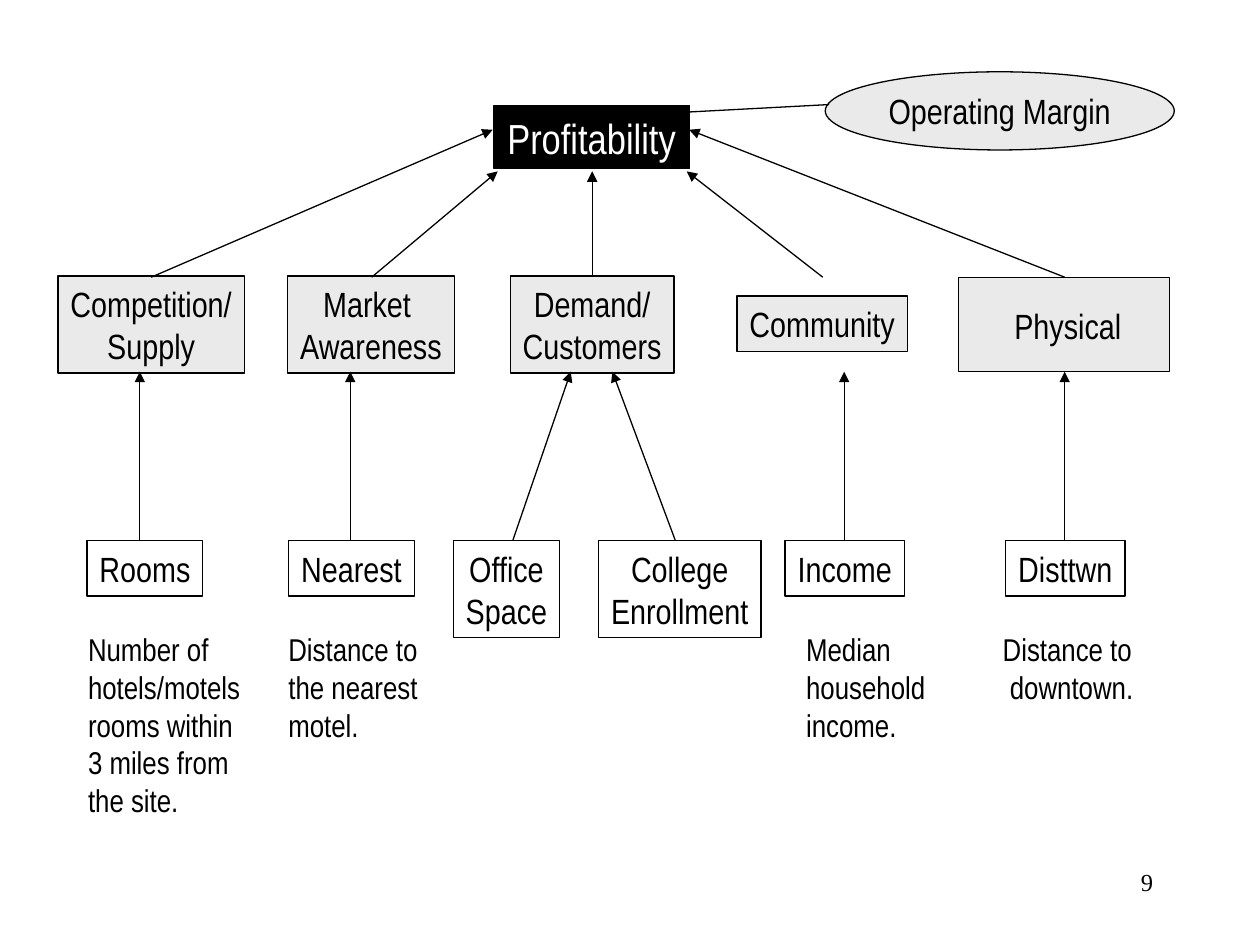
from typing import NamedTuple, Optional

from lxml import etree
from pptx import Presentation
from pptx import util as u
from pptx.dml.color import RGBColor
from pptx.enum import shapes, text
from pptx.oxml import ns

BLACK = RGBColor(0x00, 0x00, 0x00)
WHITE = RGBColor(0xFF, 0xFF, 0xFF)
GREY = RGBColor(0xEA, 0xEA, 0xEA)

# The slide is a grid of 100 columns by 75 rows.
COLUMNS, ROWS = 100, 75
CELL = u.Inches(0.1)
LINE_WIDTH = u.Pt(0.75)

FACTOR_TOP, FACTOR_BOTTOM = 22, 29.5
MEASURE_TOP = 42.9
NOTE_TOP = 49.5
ONE_LINE, TWO_LINES = 4.4, 7.7
NOTE_LINE, NOTE_PADDING = 3, 1

RECTANGLE = shapes.MSO_SHAPE.RECTANGLE
OVAL = shapes.MSO_SHAPE.OVAL


class Node(NamedTuple):
    lines: tuple[str, ...]
    left: float
    top: float
    width: float
    height: float
    fill: Optional[RGBColor] = GREY
    outlined: bool = True
    preset: shapes.MSO_SHAPE = RECTANGLE
    size: int = 20
    color: RGBColor = BLACK


class Note(NamedTuple):
    lines: tuple[str, ...]
    left: float
    width: float


class Link(NamedTuple):
    start: tuple[float, float]
    end: tuple[float, float]
    arrow: bool = True


def measure(lines: tuple[str, ...], left: float, width: float) -> Node:
    height = ONE_LINE if len(lines) == 1 else TWO_LINES
    return Node(lines, left, MEASURE_TOP, width, height, fill=None)


def to_factor(start: float, end: float) -> Link:
    return Link((start, MEASURE_TOP), (end, FACTOR_BOTTOM))


FACTORS = (
    Node(("Profitability",), 39.2, 8.4, 15.5, 5, BLACK, size=24, color=WHITE),
    Node(("Competition/", "Supply"), 4.6, 21.9, 14.8, TWO_LINES),
    Node(("Market ", "Awareness"), 22.8, 21.9, 13.3, TWO_LINES),
    Node(("Demand/", "Customers"), 40.5, 21.9, 13, TWO_LINES),
    Node(("Community",), 58.5, 23.5, 13.5, ONE_LINE),
)
PHYSICAL = (
    Node((), 76.1, FACTOR_TOP, 16.7, 7.5),
    Node(("Physical",), 79.5, 23.6, 10.5, ONE_LINE, outlined=False),
)
OPERATING_MARGIN = Node(("Operating Margin",), 65.5, 5.7, 27.7, 6.2, preset=OVAL)

LINKS = (
    Link((54.5, 8.9), (65.8, 8.3), arrow=False),
    Link((12, FACTOR_TOP), (39.1, 10.3)),
    Link((29.5, FACTOR_TOP), (39.5, 13.6)),
    Link((47, FACTOR_TOP), (47, 13.6)),
    Link((65.3, FACTOR_TOP), (54.5, 13.6)),
    Link((84.5, FACTOR_TOP), (54.7, 10.3)),
    to_factor(11.1, 11.1),
    to_factor(27.8, 27.8),
    to_factor(40.7, 45.3),
    to_factor(53.6, 48.6),
    to_factor(67, 67),
    to_factor(84.5, 84.5),
)

MEASURES = (
    measure(("Rooms",), 6.9, 9.2),
    measure(("Nearest",), 22.9, 10),
    measure(("Office", "Space"), 36, 8.4),
    measure(("College", "Enrollment"), 47.5, 12.9),
    measure(("Income",), 62.3, 9.5),
    measure(("Disttwn",), 79.8, 9.5),
)

NOTES = (
    Note(("Distance to", " downtown."), 78.6, 12.3),
    Note(("Median", "household", "income."), 63, 11.4),
    Note(("Distance to", "the nearest", "motel."), 21.9, 12.2),
    Note(("Number of", "hotels/motels", "rooms within", "3 miles from",
          "the site."), 6, 14.1),
)


def cells(*counts: float) -> list[u.Emu]:
    return [u.Emu(round(count * CELL)) for count in counts]


def write(box, lines: tuple[str, ...], size: int, color: RGBColor = BLACK,
          align=text.PP_ALIGN.LEFT, font: str = "Arial Narrow") -> None:
    """Fill a shape with one paragraph per line."""
    frame = box.text_frame
    frame.word_wrap = True
    frame.auto_size = text.MSO_AUTO_SIZE.NONE
    frame.text = "\n".join(lines)
    for para in frame.paragraphs:
        para.alignment = align
        para.font.name = font
        para.font.size = u.Pt(size)
        para.font.color.rgb = color


def draw_node(canvas, node: Node) -> None:
    """Draw a node into a slide's or a group's shapes."""
    box = canvas.add_shape(
        node.preset, *cells(node.left, node.top, node.width, node.height))
    box.shadow.inherit = False
    if node.fill is None:
        box.fill.background()
    else:
        box.fill.solid()
        box.fill.fore_color.rgb = node.fill
    if node.outlined:
        box.line.color.rgb = BLACK
        box.line.width = LINE_WIDTH
    else:
        box.line.fill.background()
    if node.lines:
        write(box, node.lines, node.size, node.color, text.PP_ALIGN.CENTER)
        frame = box.text_frame
        frame.margin_left = frame.margin_right = 0
        frame.vertical_anchor = text.MSO_ANCHOR.MIDDLE


def draw_note(canvas, note: Note) -> None:
    height = len(note.lines) * NOTE_LINE + NOTE_PADDING
    box = canvas.add_textbox(*cells(note.left, NOTE_TOP, note.width, height))
    write(box, note.lines, 18)
    box.text_frame.margin_right = 0
    box.text_frame.vertical_anchor = text.MSO_ANCHOR.MIDDLE


def draw_link(canvas, link: Link) -> None:
    line = canvas.add_connector(
        shapes.MSO_CONNECTOR.STRAIGHT, *cells(*link.start, *link.end))
    line.line.color.rgb = BLACK
    line.line.width = LINE_WIDTH
    if link.arrow:
        etree.SubElement(line.line._get_or_add_ln(), ns.qn("a:tailEnd"),
                         type="triangle")
    etree.SubElement(line._element.spPr, ns.qn("a:effectLst"))


def draw_page_number(canvas, number: str) -> None:
    box = canvas.add_textbox(*cells(71.7, 68.3, 20.8, 5))
    write(box, (number,), 14, align=text.PP_ALIGN.RIGHT, font="Times New Roman")


def main() -> None:
    deck = Presentation()
    deck.slide_width, deck.slide_height = cells(COLUMNS, ROWS)
    page = deck.slides.add_slide(deck.slide_layouts[6])
    canvas = page.shapes

    for node in FACTORS:
        draw_node(canvas, node)
    physical_group = canvas.add_group_shape()
    for node in PHYSICAL:
        draw_node(physical_group.shapes, node)
    draw_node(canvas, OPERATING_MARGIN)
    for link in LINKS:
        draw_link(canvas, link)
    for node in MEASURES:
        draw_node(canvas, node)
    for note in NOTES:
        draw_note(canvas, note)
    draw_page_number(canvas, "9")

    deck.save("out.pptx")


if __name__ == "__main__":
    main()
